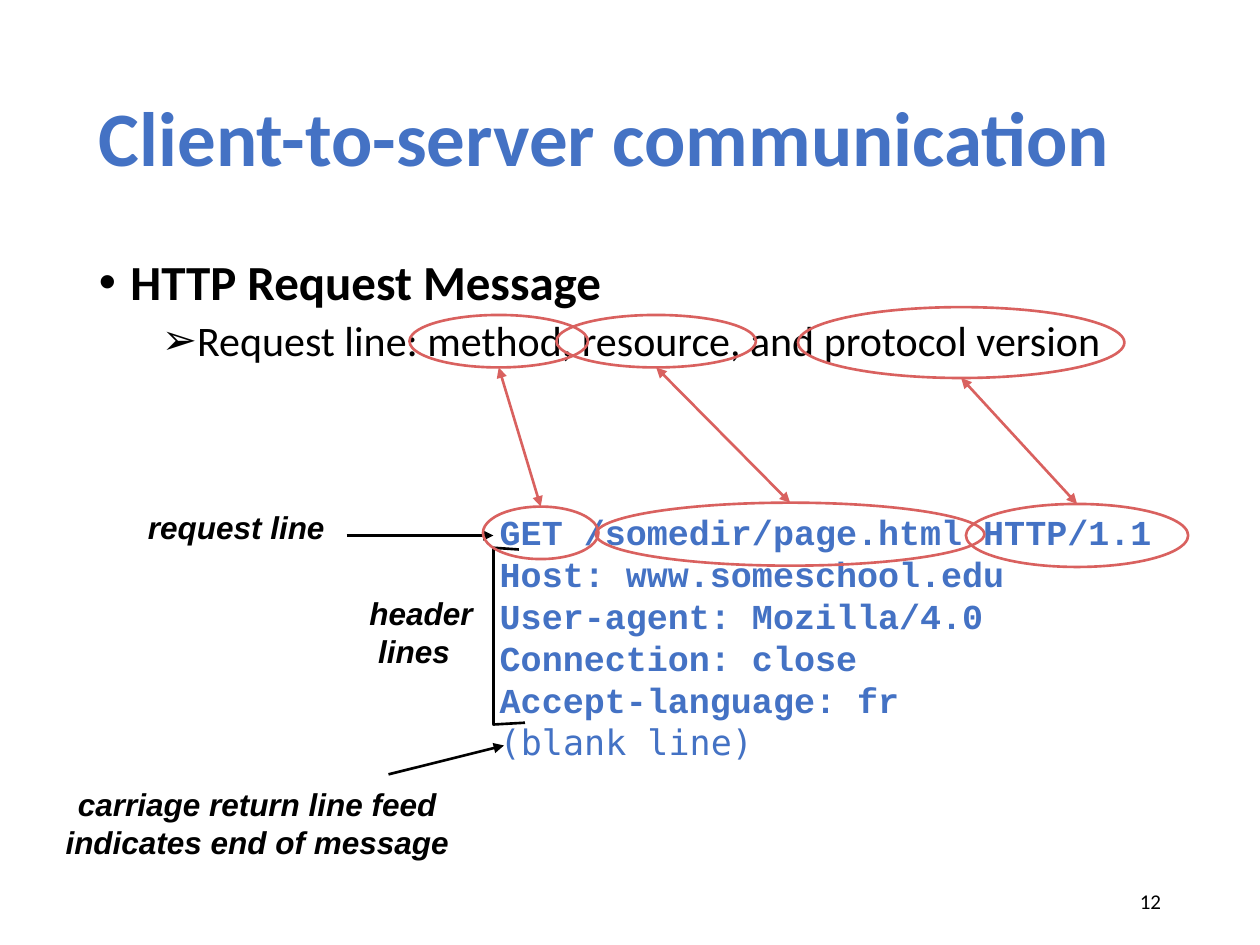
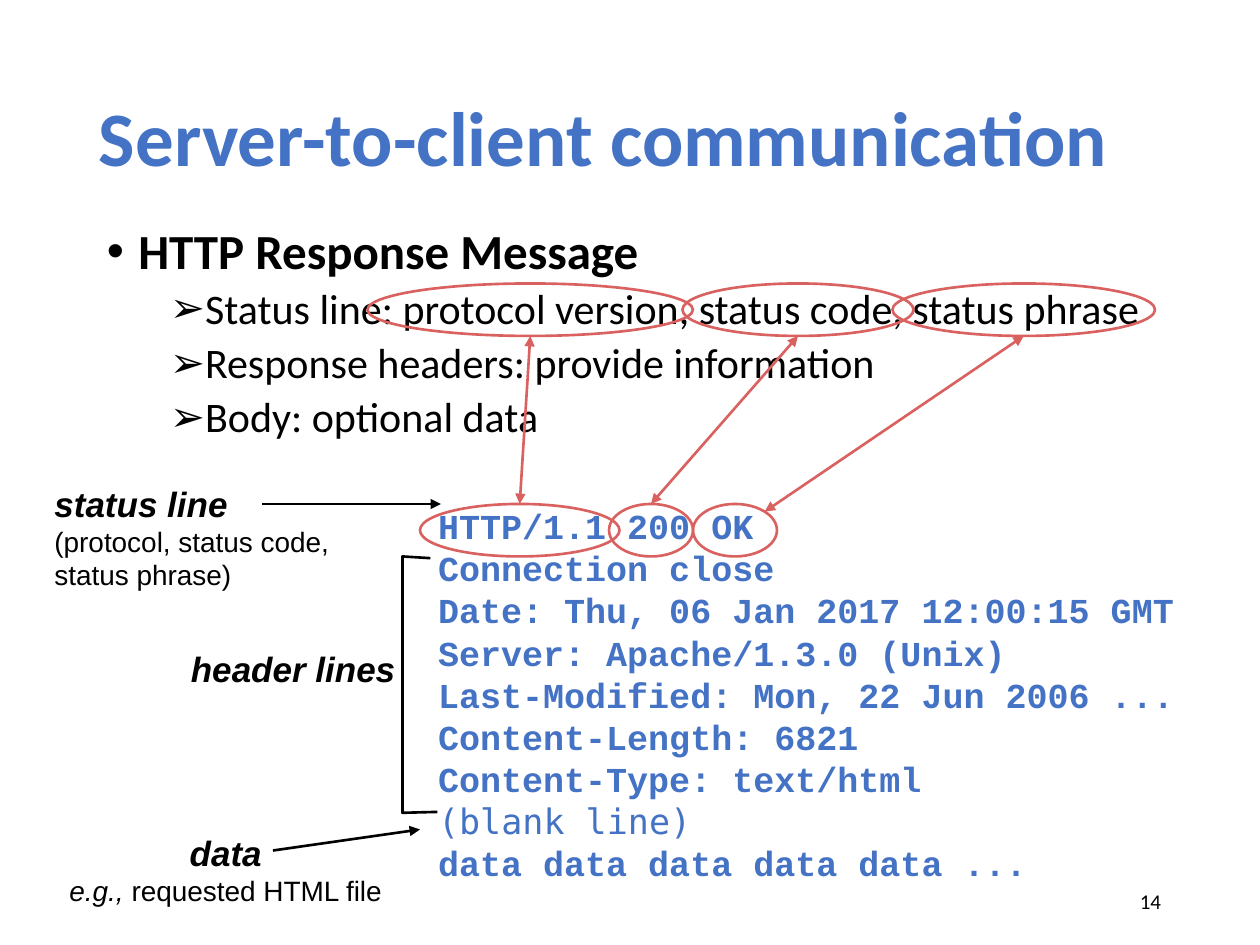
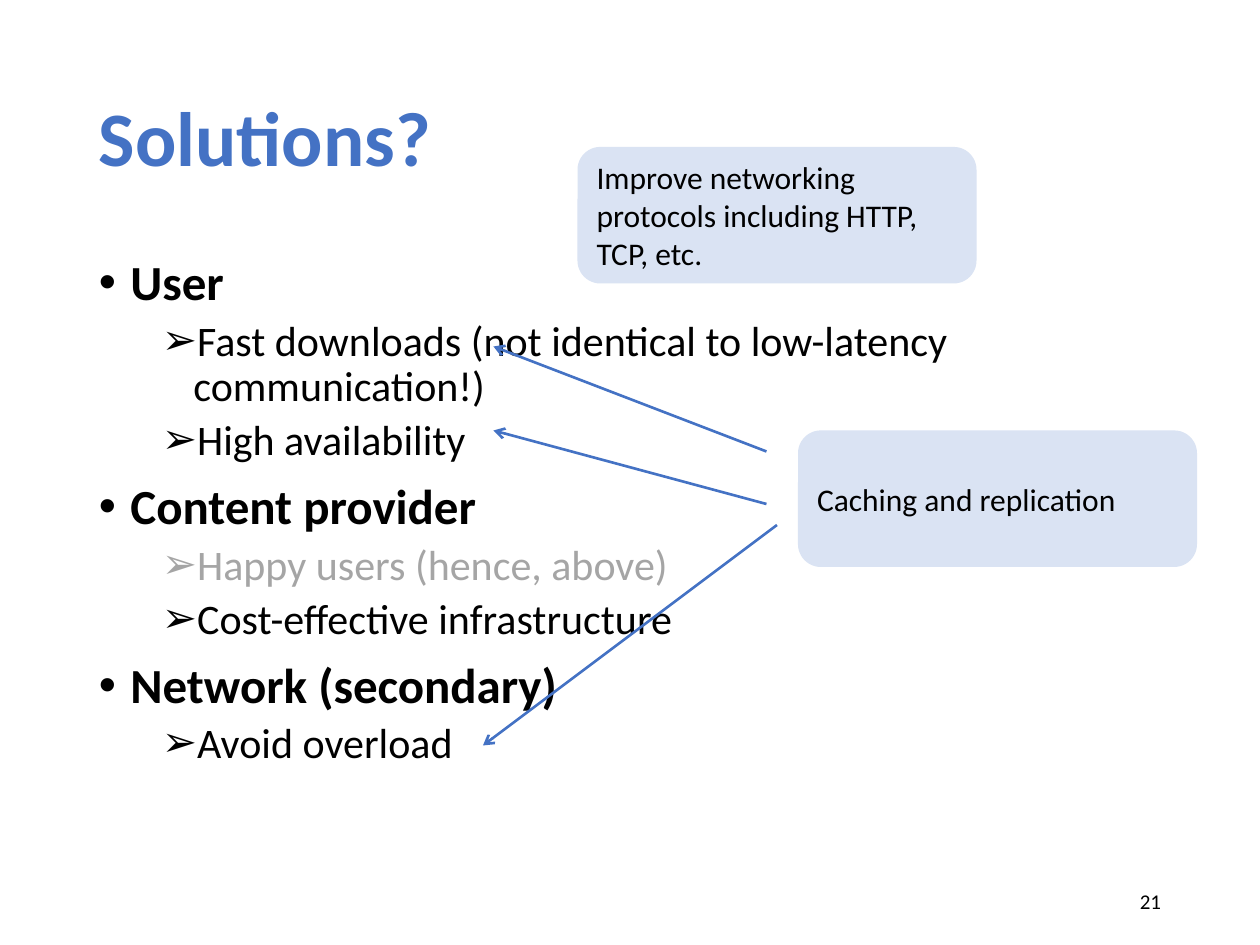
from dataclasses import dataclass
from typing import NamedTuple, Optional

from lxml import etree
from pptx import Presentation
from pptx.dml.color import RGBColor
from pptx.enum import shapes, text
from pptx.oxml import ns
from pptx.util import Pt


@dataclass(frozen=True)
class Theme:
    blue: str = "4472C4"
    pale_blue: str = "DAE3F3"
    red: str = "D9615F"
    grey: str = "A5A5A5"
    black: str = "000000"
    body_font: str = "Calibri"
    note_font: str = "Arial"
    code_font: str = "Courier New"
    blank_font: str = "DejaVu Sans Mono"
    title_size: float = 44
    topic_size: float = 28
    point_size: float = 24
    code_size: float = 20
    callout_size: float = 18
    small_note_size: float = 16
    number_size: float = 12
    stroke: float = 1.5


THEME = Theme()


class Box(NamedTuple):
    left: float
    top: float
    width: float
    height: float


class Point(NamedTuple):
    x: float
    y: float


@dataclass(frozen=True)
class Run:
    text: str
    size: float
    font: str = THEME.body_font
    color: str = THEME.black
    bold: bool = False
    italic: bool = False


@dataclass(frozen=True)
class Para:
    runs: tuple[Run, ...]
    align: text.PP_ALIGN = text.PP_ALIGN.LEFT
    spacing: Optional[float] = None
    before: float = 0
    indent: float = 0
    bullet: str = ""


@dataclass(frozen=True)
class Match:
    """A term in the outline and the field of the message it stands for."""
    term: Box
    field: Box
    to_corner: bool = False


TITLE_BOX = Box(49.5, 28.75, 621, 104.5)
BODY_BOX = Box(49.5, 144, 621, 342.75)
NUMBER_BOX = Box(508.5, 500.5, 162, 28.75)
BULLET_HANG = 18


def pts(values: tuple[float, ...]) -> list[int]:
    return [Pt(value) for value in values]


def topic(words: str) -> Para:
    run = Run(words, THEME.topic_size, bold=True)
    return Para((run,), spacing=0.9, before=10, indent=18, bullet="•")


def point(words: str, color: str = THEME.black) -> Para:
    run = Run(words, THEME.point_size, color=color)
    return Para((run,), spacing=0.9, before=5, indent=54, bullet="➢")


def label(words: str, size: float, align=text.PP_ALIGN.LEFT, indent: float = 0) -> Para:
    run = Run(words, size, THEME.note_font, bold=True, italic=True)
    return Para((run,), align, indent=indent)


def small(words: str, italic: bool = False) -> Run:
    return Run(words, THEME.small_note_size, THEME.note_font, italic=italic)


def code(words: str) -> Para:
    return Para((Run(words, THEME.code_size, THEME.code_font, THEME.blue, bold=True),))


BLANK_LINE = Para((Run("(blank line)", THEME.code_size, THEME.blank_font, THEME.blue),))


def fill_text(frame, paras: list[Para], anchor=text.MSO_ANCHOR.TOP) -> None:
    frame.vertical_anchor = anchor
    for number, para in enumerate(paras):
        paragraph = frame.add_paragraph() if number else frame.paragraphs[0]
        paragraph.alignment = para.align
        if para.spacing:
            paragraph.line_spacing = para.spacing
        if number and para.before:
            paragraph.space_before = Pt(para.before)
        properties = paragraph._p.get_or_add_pPr()
        if para.indent:
            properties.set("marL", str(Pt(para.indent)))
        if para.bullet:
            properties.set("indent", str(-Pt(BULLET_HANG)))
            etree.SubElement(properties, ns.qn("a:buFont"), typeface=THEME.note_font)
            etree.SubElement(properties, ns.qn("a:buChar"), char=para.bullet)
        for piece in para.runs:
            run = paragraph.add_run()
            run.text = piece.text
            run.font.size = Pt(piece.size)
            run.font.name = piece.font
            run.font.bold = piece.bold
            run.font.italic = piece.italic
            run.font.color.rgb = RGBColor.from_string(piece.color)


def add_text(slide, box: Box, paras: list[Para], anchor=text.MSO_ANCHOR.TOP,
             wrap: bool = True, grow: bool = False) -> None:
    frame = slide.shapes.add_textbox(*pts(box)).text_frame
    frame.word_wrap = wrap
    if grow:
        frame.auto_size = text.MSO_AUTO_SIZE.SHAPE_TO_FIT_TEXT
    fill_text(frame, paras, anchor)


def add_note(slide, box: Box, paras: list[Para], wrap: bool = True) -> None:
    add_text(slide, box, paras, wrap=wrap, grow=True)


def set_stroke(line, color: str) -> None:
    line.color.rgb = RGBColor.from_string(color)
    line.width = Pt(THEME.stroke)


def add_arrow(target, start: Point, end: Point, color: str = THEME.black,
              head: str = "", tail: str = "triangle"):
    arrow = target.shapes.add_connector(shapes.MSO_CONNECTOR.STRAIGHT, *pts(start + end))
    set_stroke(arrow.line, color)
    outline = arrow.line._get_or_add_ln()
    for tag, kind in (("a:headEnd", head), ("a:tailEnd", tail)):
        if kind:
            etree.SubElement(outline, ns.qn(tag), type=kind)
    etree.SubElement(arrow._element.spPr, ns.qn("a:effectLst"))
    return arrow


def add_bracket(slide, corners: list[Point]) -> None:
    start, *others = [pts(corner) for corner in corners]
    builder = slide.shapes.build_freeform(*start)
    builder.add_line_segments(others, close=False)
    bracket = builder.convert_to_shape()
    bracket.shadow.inherit = False
    bracket.fill.background()
    set_stroke(bracket.line, THEME.black)


def add_ring(target, box: Box):
    ring = target.shapes.add_shape(shapes.MSO_SHAPE.OVAL, *pts(box))
    ring.shadow.inherit = False
    ring.fill.background()
    set_stroke(ring.line, THEME.red)
    return ring


def add_match(slide, match: Match) -> None:
    """Ring both places and join them, to the top or upper right of the lower ring."""
    group = slide.shapes.add_group_shape()
    term, field = match.term, match.field
    add_ring(group, term)
    field_ring = add_ring(group, field)
    start = Point(term.left + term.width / 2, term.top + term.height)
    end = Point(field.left + field.width / 2, field.top)
    if match.to_corner:
        diagonal = 0.5 ** 0.5
        end = Point(end.x + field.width / 2 * diagonal,
                    field.top + field.height / 2 * (1 - diagonal))
    arrow = add_arrow(group, start, end, THEME.red, head="triangle")
    if not match.to_corner:
        arrow.end_connect(field_ring, 0)


def add_callout(slide, box: Box, words: str) -> None:
    callout = slide.shapes.add_shape(shapes.MSO_SHAPE.ROUNDED_RECTANGLE, *pts(box))
    callout.shadow.inherit = False
    callout.fill.solid()
    callout.fill.fore_color.rgb = RGBColor.from_string(THEME.pale_blue)
    callout.line.fill.background()
    callout.text_frame.word_wrap = True
    fill_text(callout.text_frame, [Para((Run(words, THEME.callout_size),))],
              text.MSO_ANCHOR.MIDDLE)


def add_outline_slide(deck, title: str, number: str, outline: list[Para],
                      body_box: Box = BODY_BOX):
    slide = deck.slides.add_slide(deck.slide_layouts[6])
    heading = Run(title, THEME.title_size, color=THEME.blue, bold=True)
    add_text(slide, TITLE_BOX, [Para((heading,), spacing=0.9)], text.MSO_ANCHOR.MIDDLE)
    add_text(slide, body_box, outline)
    add_text(slide, NUMBER_BOX,
             [Para((Run(number, THEME.number_size),), text.PP_ALIGN.RIGHT)],
             text.MSO_ANCHOR.MIDDLE)
    return slide


def build_request(deck) -> None:
    slide = add_outline_slide(deck, "Client-to-server communication", "12", [
        topic("HTTP Request Message"),
        point("Request line: method, resource, and protocol version"),
    ])
    add_note(slide, Box(278.5, 288, 390, 152.5), [
        code("GET /somedir/page.html HTTP/1.1"),
        code("Host: www.someschool.edu"),
        code("User-agent: Mozilla/4.0"),
        code("Connection: close"),
        code("Accept-language: fr"),
        BLANK_LINE,
    ], wrap=False)
    center = text.PP_ALIGN.CENTER
    size = THEME.callout_size
    add_note(slide, Box(18, 286.5, 234, 29.5), [label("request line", size, center)])
    add_arrow(slide, Point(198, 306), Point(282, 306))
    add_bracket(slide, [Point(296.5, 314), Point(282, 313),
                        Point(282, 414), Point(300, 413)])
    add_note(slide, Box(204, 336, 74, 51),
             [label("header", size), label("lines", size, indent=5)], wrap=False)
    add_arrow(slide, Point(222, 442.5), Point(288, 426))
    add_note(slide, Box(24, 445, 246, 52), [
        label("carriage return line feed", size, center),
        label("indicates end of message", size, center),
    ])
    for match in (
        Match(Box(234, 180, 102, 30), Box(276, 289.5, 66, 30)),
        Match(Box(318, 180, 114, 30), Box(340.5, 287.25, 222, 36)),
        Match(Box(456, 175.5, 186.5, 40.5), Box(552, 288, 127, 36)),
    ):
        add_match(slide, match)


def build_response(deck) -> None:
    slide = add_outline_slide(deck, "Server-to-client communication", "14", [
        topic("HTTP Response Message"),
        point("Status line: protocol version, status code, status phrase"),
        point("Response headers: provide information"),
        point("Body: optional data"),
    ], Box(54, 126, 654, 348))
    size = THEME.code_size
    center = text.PP_ALIGN.CENTER
    add_note(slide, Box(18, 471.5, 222, 51), [
        label("data", size, center),
        Para((small("e.g.,", italic=True), small(" requested HTML file")), center),
    ])
    add_note(slide, Box(243.25, 285, 451, 225.5), [
        code("HTTP/1.1 200 OK"),
        code("Connection close"),
        code("Date: Thu, 06 Jan 2017 12:00:15 GMT"),
        code("Server: Apache/1.3.0 (Unix)"),
        code("Last-Modified: Mon, 22 Jun 2006 ..."),
        code("Content-Length: 6821"),
        code("Content-Type: text/html"),
        BLANK_LINE,
        code("data data data data data ..."),
    ], wrap=False)
    add_note(slide, Box(24, 272, 174, 70.5), [
        label("status line", size),
        Para((small("(protocol, status code, status phrase)"),)),
    ])
    add_arrow(slide, Point(150, 288), Point(252, 288))
    add_bracket(slide, [Point(246, 319), Point(230, 318),
                        Point(230, 464.5), Point(250, 464)])
    add_note(slide, Box(102, 366.5, 156, 31.5), [label("header lines", size)])
    add_arrow(slide, Point(156, 486), Point(240, 474))
    for match in (
        Match(Box(210, 162, 186, 30), Box(240, 288, 114, 30)),
        Match(Box(390, 162, 132, 30), Box(348, 288, 48, 30)),
        Match(Box(510, 162, 150, 30), Box(396, 288, 48, 30), to_corner=True),
    ):
        add_match(slide, match)


def build_solutions(deck) -> None:
    slide = add_outline_slide(deck, "Solutions?", "21", [
        topic("User"),
        point("Fast downloads (not identical to low-latency communication!)"),
        point("High availability"),
        topic("Content provider"),
        point("Happy users (hence, above)", THEME.grey),
        point("Cost-effective infrastructure"),
        topic("Network (secondary)"),
        point("Avoid overload"),
    ])
    add_callout(slide, Box(330, 84, 228, 78),
                "Improve networking protocols including HTTP, TCP, etc.")
    add_callout(slide, Box(456, 246, 228, 78), "Caching and replication")
    for start, goal in (
        (Point(438, 258), Point(282, 198)),
        (Point(438, 288), Point(282, 246)),
        (Point(444, 300), Point(276, 426)),
    ):
        add_arrow(slide, start, goal, THEME.blue, tail="arrow")


def main() -> None:
    deck = Presentation()
    deck.slide_width, deck.slide_height = Pt(720), Pt(540)
    build_request(deck)
    build_response(deck)
    build_solutions(deck)
    deck.save("out.pptx")


if __name__ == "__main__":
    main()
